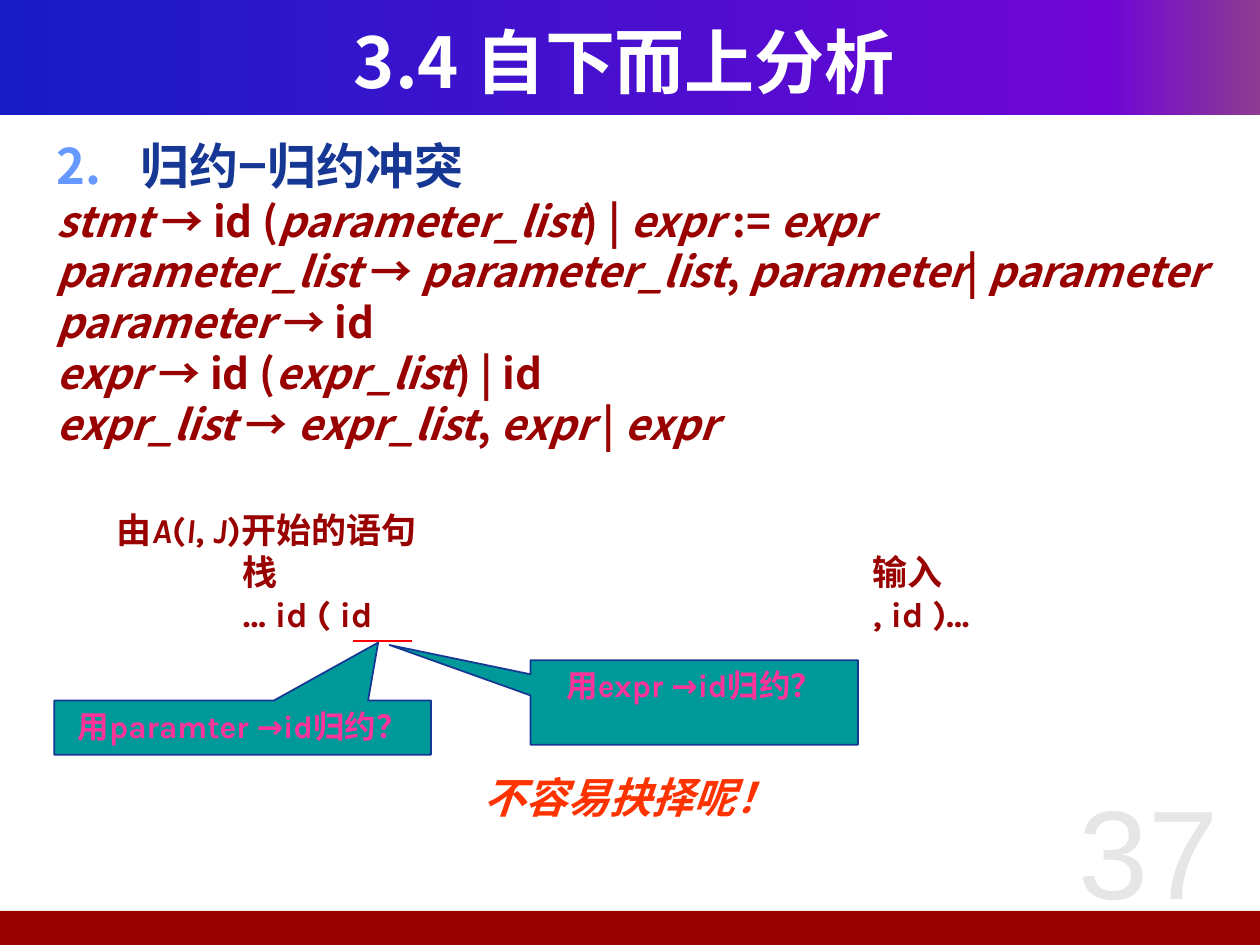
import pptx
import pptx.dml.color
import pptx.enum.shapes
import pptx.enum.text
import pptx.oxml
import pptx.oxml.ns
import pptx.util
from lxml import etree
from pptx.util import Inches

COLORS = {
    "banner_start": "181CC7", "banner_middle": "7005D4", "banner_end": "8C3D91",
    "dark_red": "990000", "white": "FFFFFF", "navy": "163794", "number": "6699FF",
    "teal": "009999", "pink": "FF3399", "orange": "FF3300", "red": "FF0000",
    "pale": "E6E6E6",
}
CJK_FONT = "Noto Sans CJK SC"
GRAMMAR = [
    "*stmt *→ id (*parameter_list*) | *expr* := *expr*",
    "*parameter_list *→ *parameter_list*, *parameter*| *parameter*",
    "*parameter *→ id",
    "*expr *→ id (*expr_list*) | id",
    "*expr_list *→ *expr_list*, *expr *| *expr*",
]
STACK_LINES = ["由*A*(*I*, *J*)开始的语句", "\t栈\t输入", "\t… id ( id\t, id )…"]


def rgb(name):
    """Return the named colour."""
    return pptx.dml.color.RGBColor.from_string(COLORS[name])


def add_child(parent, tag, **attributes):
    """Append a DrawingML element to its parent."""
    return etree.SubElement(parent, pptx.oxml.ns.qn(tag), **attributes)


def write_line(para, text, size, font, color, bold=True, spacing=None):
    """Fill a paragraph, with the parts between asterisks in italics."""
    para.font.size = pptx.util.Pt(size)
    para.font.name = font
    para.font.bold = bold
    para.font.color.rgb = rgb(color)
    if spacing:
        para.line_spacing = pptx.util.Pt(spacing)
    for index, part in enumerate(text.split("*")):
        if part:
            span = para.add_run()
            span.text = part
            span.font.size = pptx.util.Pt(size)
            span.font.name = font
            span.font.bold = bold
            span.font.italic = index % 2 == 1
            span.font.color.rgb = rgb(color)
            add_child(span.font._element, "a:ea", typeface=CJK_FONT)


def add_text_box(page, box):
    """Add a wrapping text box and return its frame."""
    frame = page.shapes.add_textbox(*map(Inches, box)).text_frame
    frame.word_wrap = True
    return frame


def add_bar(page, box, color):
    """Add a full-width bar without outline."""
    bar = page.shapes.add_shape(
        pptx.enum.shapes.MSO_SHAPE.RECTANGLE, *map(Inches, box))
    bar.shadow.inherit = False
    bar.fill.solid()
    bar.fill.fore_color.rgb = rgb(color)
    bar.line.fill.background()
    return bar


def add_banner(page, box):
    """Add the gradient bar behind the title."""
    bar = add_bar(page, box, "banner_start")
    bar.fill.gradient()
    bar.fill.gradient_angle = 0
    stops = bar._element.spPr.find(".//" + pptx.oxml.ns.qn("a:gsLst"))
    for stop in list(stops):
        stops.remove(stop)
    for position, color in ((0, "banner_start"), (88, "banner_middle"), (100, "banner_end")):
        stop = add_child(stops, "a:gs", pos=str(position * 1000))
        add_child(stop, "a:srgbClr", val=COLORS[color])


def place_title(page, box):
    """Move the title onto the banner and format it."""
    title = page.shapes.title
    page.shapes._spTree.append(title._element)
    title.left, title.top, title.width, title.height = map(Inches, box)
    frame = title.text_frame
    frame.vertical_anchor = pptx.enum.text.MSO_ANCHOR.MIDDLE
    para = frame.paragraphs[0]
    para.alignment = pptx.enum.text.PP_ALIGN.CENTER
    write_line(para, "3.4 自下而上分析", 40, CJK_FONT, "white")


def add_page_number(page, box):
    """Add the large pale page number."""
    frame = add_text_box(page, box)
    frame.vertical_anchor = pptx.enum.text.MSO_ANCHOR.MIDDLE
    para = frame.paragraphs[0]
    para.alignment = pptx.enum.text.PP_ALIGN.CENTER
    write_line(para, "37", 72, "Arial", "pale", bold=False)


def add_grammar(page, box):
    """Add the numbered heading and the productions below it."""
    frame = add_text_box(page, box)
    frame.margin_right = 0
    heading = frame.paragraphs[0]
    write_line(heading, "归约−归约冲突", 28, CJK_FONT, "navy", spacing=35)
    properties = heading._p.get_or_add_pPr()
    properties.set("marL", str(Inches(0.67)))
    properties.set("indent", str(Inches(-0.67)))
    number = pptx.oxml.parse_xml(
        f'<a:buClr {pptx.oxml.ns.nsdecls("a")}><a:srgbClr val="{COLORS["number"]}"/></a:buClr>')
    style = properties.find(pptx.oxml.ns.qn("a:defRPr"))
    style.addprevious(number)
    numbering = add_child(properties, "a:buAutoNum", type="arabicPeriod", startAt="2")
    style.addprevious(numbering)
    for production in GRAMMAR:
        write_line(frame.add_paragraph(), production, 24, CJK_FONT, "dark_red", spacing=29)


def add_stack(page, box):
    """Add the parser stack and the remaining input, set on tab stops."""
    frame = add_text_box(page, box)
    for index, text in enumerate(STACK_LINES):
        para = frame.add_paragraph() if index else frame.paragraphs[0]
        write_line(para, text, 20, "Karla", "dark_red", spacing=24)
        properties = para._p.get_or_add_pPr()
        tabs = add_child(properties, "a:tabLst")
        properties.find(pptx.oxml.ns.qn("a:defRPr")).addprevious(tabs)
        for position in (1, 6):
            add_child(tabs, "a:tab", pos=str(Inches(position)), algn="l")


def add_underline(page, left, right, top):
    """Underline the top symbol of the stack."""
    line = page.shapes.add_connector(
        pptx.enum.shapes.MSO_CONNECTOR.STRAIGHT,
        Inches(left), Inches(top), Inches(right), Inches(top))
    line.line.color.rgb = rgb("red")
    line.line.width = pptx.util.Pt(1)
    add_child(line._element.spPr, "a:effectLst")


def add_callout(page, box, pointer, text):
    """Add a callout whose tip lies at the pointer offset."""
    callout = page.shapes.add_shape(
        pptx.enum.shapes.MSO_SHAPE.RECTANGULAR_CALLOUT, *map(Inches, box))
    callout.adjustments[0], callout.adjustments[1] = pointer
    callout.shadow.inherit = False
    callout.fill.solid()
    callout.fill.fore_color.rgb = rgb("teal")
    callout.line.color.rgb = rgb("navy")
    callout.line.width = pptx.util.Pt(1)
    frame = callout.text_frame
    frame.word_wrap = True
    frame.vertical_anchor = pptx.enum.text.MSO_ANCHOR.TOP
    para = frame.paragraphs[0]
    para.alignment = pptx.enum.text.PP_ALIGN.CENTER
    write_line(para, text, 18, "Karla", "pink")


def add_remark(page, box):
    """Add the closing remark."""
    para = add_text_box(page, box).paragraphs[0]
    write_line(para, "*不容易抉择呢！*", 24, "Karla", "orange", spacing=32)


def main():
    """Build the slide and save the deck."""
    deck = pptx.Presentation()
    deck.slide_width, deck.slide_height = Inches(10), Inches(7.5)
    page = deck.slides.add_slide(deck.slide_layouts[5])
    add_banner(page, (0, 0, 10, 0.91))
    add_bar(page, (-0.04, 7.23, 10.04, 0.27), "dark_red")
    add_page_number(page, (8.23, 6.03, 1.77, 1.42))
    place_title(page, (0.33, 0.17, 9.25, 0.62))
    add_grammar(page, (0.35, 1.01, 9.33, 5.5))
    add_underline(page, 2.8, 3.27, 5.09)
    add_callout(page, (0.43, 5.56, 2.99, 0.43), (0.36, -1.57), "用paramter →id归约？")
    add_callout(page, (4.21, 5.24, 2.6, 0.67), (-0.93, -0.68), "用expr →id归约？")
    add_remark(page, (3.74, 6.03, 3.7, 0.5))
    add_stack(page, (0.83, 3.99, 7.11, 1.1))
    deck.save("out.pptx")


if __name__ == "__main__":
    main()
